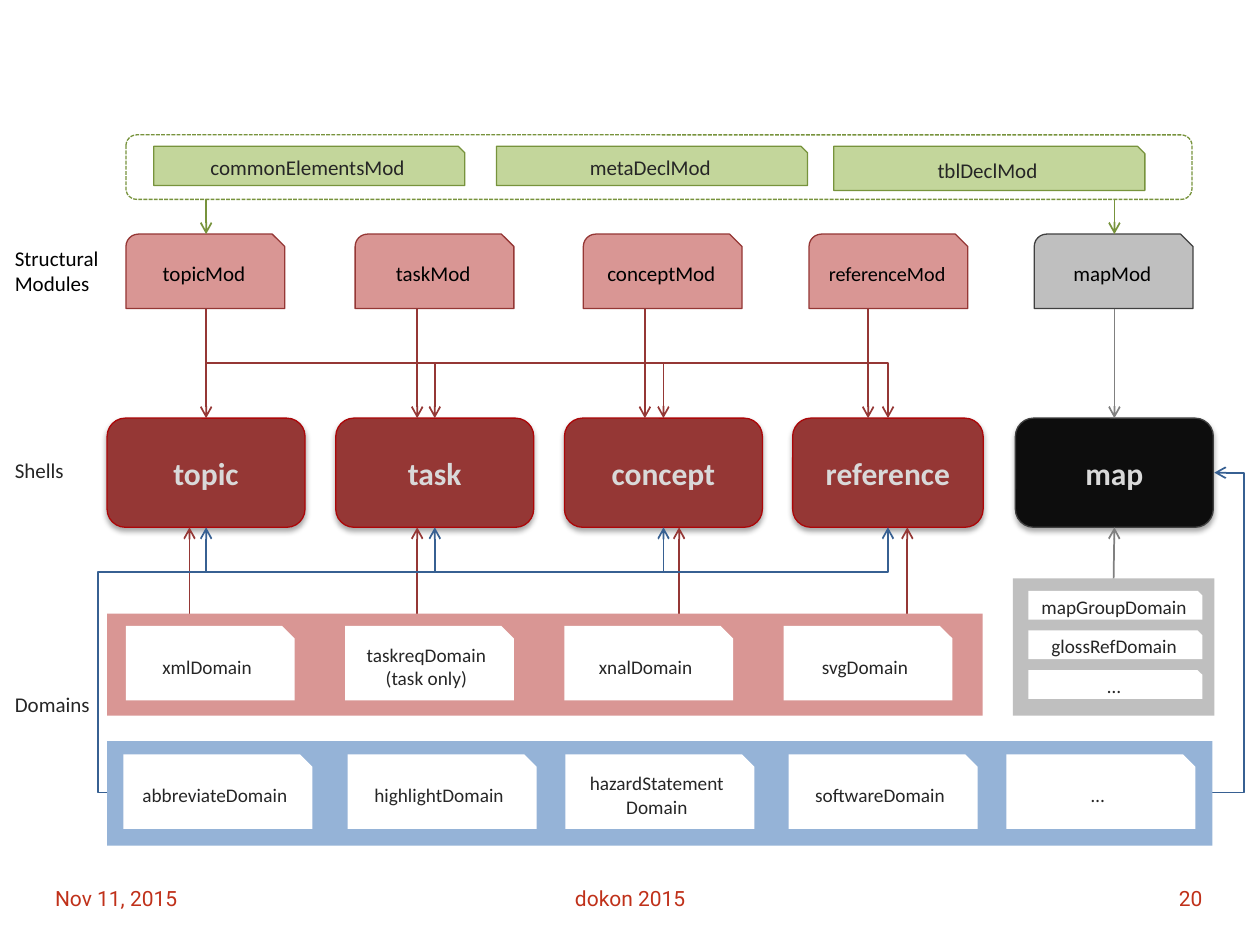
from lxml.etree import SubElement
from pptx import Presentation
from pptx.dml.color import RGBColor
from pptx.enum.dml import MSO_LINE
from pptx.enum.shapes import MSO_CONNECTOR as Link, MSO_SHAPE as Form
from pptx.enum.text import MSO_ANCHOR as Anchor, PP_ALIGN as Align
from pptx.oxml.ns import qn
from pptx.util import Cm, Emu, Pt

BLACK = RGBColor(0x00, 0x00, 0x00)
WHITE = RGBColor(0xFF, 0xFF, 0xFF)
INK = RGBColor(0x26, 0x26, 0x26)
NIGHT = RGBColor(0x0D, 0x0D, 0x0D)
CHARCOAL = RGBColor(0x40, 0x40, 0x40)
GRAY = RGBColor(0x80, 0x80, 0x80)
SILVER = RGBColor(0xBF, 0xBF, 0xBF)
PALE = RGBColor(0xD9, 0xD9, 0xD9)
MAROON = RGBColor(0x95, 0x37, 0x35)
CRIMSON = RGBColor(0xAC, 0x06, 0x08)
ROSE = RGBColor(0xD9, 0x96, 0x94)
OLIVE = RGBColor(0x77, 0x93, 0x3C)
LIME = RGBColor(0xC3, 0xD6, 0x9B)
NAVY = RGBColor(0x37, 0x60, 0x92)
SKY = RGBColor(0x95, 0xB3, 0xD7)
BRICK = RGBColor(0xC0, 0x31, 0x1A)

TOP, BOTTOM = 0, 2
MODULE_TOP, MODULE_BOTTOM = 4.72, 6.22
SHELL_TOP, SHELL_BOTTOM = 8.43, 10.63
BUS_Y = 11.53


def write(frame, text, size=12, color=INK, bold=False, font="Calibri",
          align=Align.CENTER, anchor=Anchor.MIDDLE):
    """Put formatted text into a text frame."""
    frame.word_wrap = True
    frame.vertical_anchor = anchor
    paragraph = frame.paragraphs[0]
    paragraph.text = text
    paragraph.alignment = align
    for run in paragraph.runs:
        run.font.size, run.font.bold, run.font.name = Pt(size), bold, font
        run.font.color.rgb = color


def middle(shape):
    """Return the horizontal centre of a shape in centimetres."""
    return Emu(shape.left + shape.width // 2).cm


class Diagram:
    """Draw the elements of the diagram on one slide."""

    outline_width = Pt(0.75)
    arrow_width = Pt(1)

    def __init__(self, slide):
        self.shapes = slide.shapes

    def box(self, form, left, top, width, height, fill=None, line=None,
            text="", **text_format):
        """Add a preset shape without shadow."""
        shape = self.shapes.add_shape(form, Cm(left), Cm(top), Cm(width), Cm(height))
        shape.shadow.inherit = False
        if fill is None:
            shape.fill.background()
        else:
            shape.fill.solid()
            shape.fill.fore_color.rgb = fill
        if line is None:
            shape.line.fill.background()
        else:
            shape.line.color.rgb = line
            shape.line.width = self.outline_width
        if text:
            write(shape.text_frame, text, **text_format)
        return shape

    def shell(self, left, width, text, fill, line):
        """Add a raised rounded box for a shell."""
        shape = self.box(Form.ROUNDED_RECTANGLE, left, SHELL_TOP, width,
                         SHELL_BOTTOM - SHELL_TOP, fill, line, text,
                         size=18, color=PALE, bold=True)
        effects = shape._element.spPr.find(qn("a:effectLst"))
        shadow = SubElement(effects, qn("a:outerShdw"), blurRad="40000",
                            dist="23000", dir="5400000", rotWithShape="0")
        shade = SubElement(shadow, qn("a:srgbClr"), val="000000")
        SubElement(shade, qn("a:alpha"), val="35000")
        return shape

    def domain(self, left, top, width, height, text):
        """Add a white domain card."""
        self.box(Form.SNIP_1_RECTANGLE, left, top, width, height, WHITE,
                 text=text, size=11)

    def label(self, left, top, width, height, text, **text_format):
        """Add a plain text box."""
        area = self.shapes.add_textbox(Cm(left), Cm(top), Cm(width), Cm(height))
        write(area.text_frame, text, **text_format)

    def arrow(self, start, end, color, source=None, target=None, kind=Link.STRAIGHT):
        """Add an arrow, joined to (shape, site) pairs where given."""
        link = self.shapes.add_connector(kind, *map(Cm, start + end))
        if source:
            link.begin_connect(*source)
        if target:
            link.end_connect(*target)
        link.line.color.rgb = color
        link.line.width = self.arrow_width
        SubElement(link.line._get_or_add_ln(), qn("a:tailEnd"), type="arrow")
        SubElement(link._element.spPr, qn("a:effectLst"))
        return link

    def elbow(self, start, end, color, bends, falling=False):
        """Add a bent arrow with its bends as fractions of its box."""
        link = self.arrow(start, end, color, kind=Link.ELBOW)
        geometry = link._element.spPr.find(qn("a:prstGeom"))
        geometry.set("prst", f"bentConnector{len(bends) + 2}")
        guides = geometry.find(qn("a:avLst"))
        if guides is None:
            guides = SubElement(geometry, qn("a:avLst"))
        for number, bend in enumerate(bends, 1):
            SubElement(guides, qn("a:gd"), name=f"adj{number}",
                       fmla=f"val {round(bend * 100000)}")
        if falling:
            across, down = link.width, link.height
            link.left += (across - down) // 2
            link.top += (down - across) // 2
            link.width, link.height = down, across
            frame = link._element.spPr.find(qn("a:xfrm"))
            frame.set("rot", "16200000")
            frame.set("flipH", "1")


def main():
    """Build the slide and save it."""
    deck = Presentation()
    deck.slide_width, deck.slide_height = Cm(25.4), Cm(19.05)
    diagram = Diagram(deck.slides.add_slide(deck.slide_layouts[6]))

    for left, width, text, align in (
            (8.97, 7.47, "dokon 2015", Align.CENTER),
            (0.86, 5.92, "Nov 11, 2015", Align.LEFT),
            (18.57, 5.92, "20", Align.RIGHT)):
        diagram.label(left, 17.6, width, 1.02, text, color=BRICK,
                      font="Roboto", align=align)

    topic, task, concept, reference, map_shell = [
        diagram.shell(*row) for row in (
            (2.16, 3.99, "topic", MAROON, CRIMSON),
            (6.77, 3.99, "task", MAROON, CRIMSON),
            (11.38, 3.99, "concept", MAROON, CRIMSON),
            (15.98, 3.84, "reference", MAROON, CRIMSON),
            (20.47, 3.99, "map", NIGHT, CHARCOAL))]

    for left, text, fill, line, size in (
            (2.54, "topicMod", ROSE, MAROON, 12),
            (7.16, "taskMod", ROSE, MAROON, 12),
            (11.76, "conceptMod", ROSE, MAROON, 12),
            (16.31, "referenceMod", ROSE, MAROON, 11.5),
            (20.85, "mapMod", SILVER, CHARCOAL, 12)):
        diagram.box(Form.SNIP_ROUND_RECTANGLE, left, MODULE_TOP, 3.2,
                    MODULE_BOTTOM - MODULE_TOP, fill, line, text,
                    size=size, color=BLACK)

    for left, height, text in ((3.1, 0.79, "commonElementsMod"),
                               (10.01, 0.79, "metaDeclMod"),
                               (16.81, 0.89, "tblDeclMod")):
        diagram.box(Form.SNIP_1_RECTANGLE, left, 2.95, 6.27, height, LIME, OLIVE, text)
    common = diagram.box(Form.ROUNDED_RECTANGLE, 2.54, 2.72, 21.49, 1.3, line=OLIVE)
    common.line.dash_style = MSO_LINE.SQUARE_DOT

    map_domains = diagram.box(Form.RECTANGLE, 20.42, 11.66, 4.06, 2.77, SILVER)
    for row, text in enumerate(("mapGroupDomain", "glossRefDomain", "…")):
        diagram.domain(20.73, 11.91 + 0.8 * row, 3.51, 0.58, text)

    for x in (8.41, 13, 17.5):
        diagram.arrow((x, MODULE_BOTTOM), (x, SHELL_TOP), MAROON)
    for shell, color in ((topic, MAROON), (map_shell, GRAY)):
        x = middle(shell)
        diagram.arrow((x, MODULE_BOTTOM), (x, SHELL_TOP), color, target=(shell, TOP))
        diagram.arrow((x, 4.02), (x, MODULE_TOP), OLIVE)
    for shell in (reference, concept, task):
        diagram.elbow((middle(topic), MODULE_BOTTOM), (middle(shell), SHELL_TOP),
                      MAROON, [0.5], falling=True)
    for x in (3.82, 8.41, 13.69, 18.29):
        diagram.arrow((x, 12.37), (x, SHELL_BOTTOM), MAROON)
    diagram.arrow((middle(map_domains), 11.66), (middle(map_shell), SHELL_BOTTOM), GRAY,
                  (map_domains, TOP), (map_shell, BOTTOM))
    diagram.elbow((2.16, 15.98), (middle(reference), SHELL_BOTTOM), NAVY, [-0.012, 0.83])
    diagram.elbow((24.44, 15.98), (24.48, 9.53), NAVY, [16])
    for shell in (topic, task, concept):
        x = middle(shell)
        diagram.arrow((x, BUS_Y), (x, SHELL_BOTTOM), NAVY, target=(shell, BOTTOM))

    diagram.box(Form.RECTANGLE, 2.16, 12.37, 17.65, 2.06, ROSE)
    for column, text in enumerate(("xmlDomain", "taskreqDomain (task only)",
                                   "xnalDomain", "svgDomain")):
        diagram.domain(2.54 + 4.42 * column, 12.62, 3.4, 1.5, text)

    diagram.box(Form.RECTANGLE, 2.16, 14.94, 22.28, 2.11, SKY)
    for left, text in ((2.49, "abbreviateDomain"), (7.01, "highlightDomain"),
                       (11.4, "hazardStatement\vDomain"),
                       (15.9, "softwareDomain"), (20.29, "…")):
        diagram.domain(left, 15.21, 3.81, 1.5, text)

    for top, width, height, text, color in (
            (13.82, 4.17, 0.76, "Domains", INK),
            (9.09, 1.68, 0.76, "Shells", INK),
            (4.83, 2.54, 1.27, "Structural Modules", BLACK)):
        diagram.label(0.05, top, width, height, text, color=color,
                      align=Align.LEFT, anchor=Anchor.TOP)

    deck.save("out.pptx")


if __name__ == "__main__":
    main()
